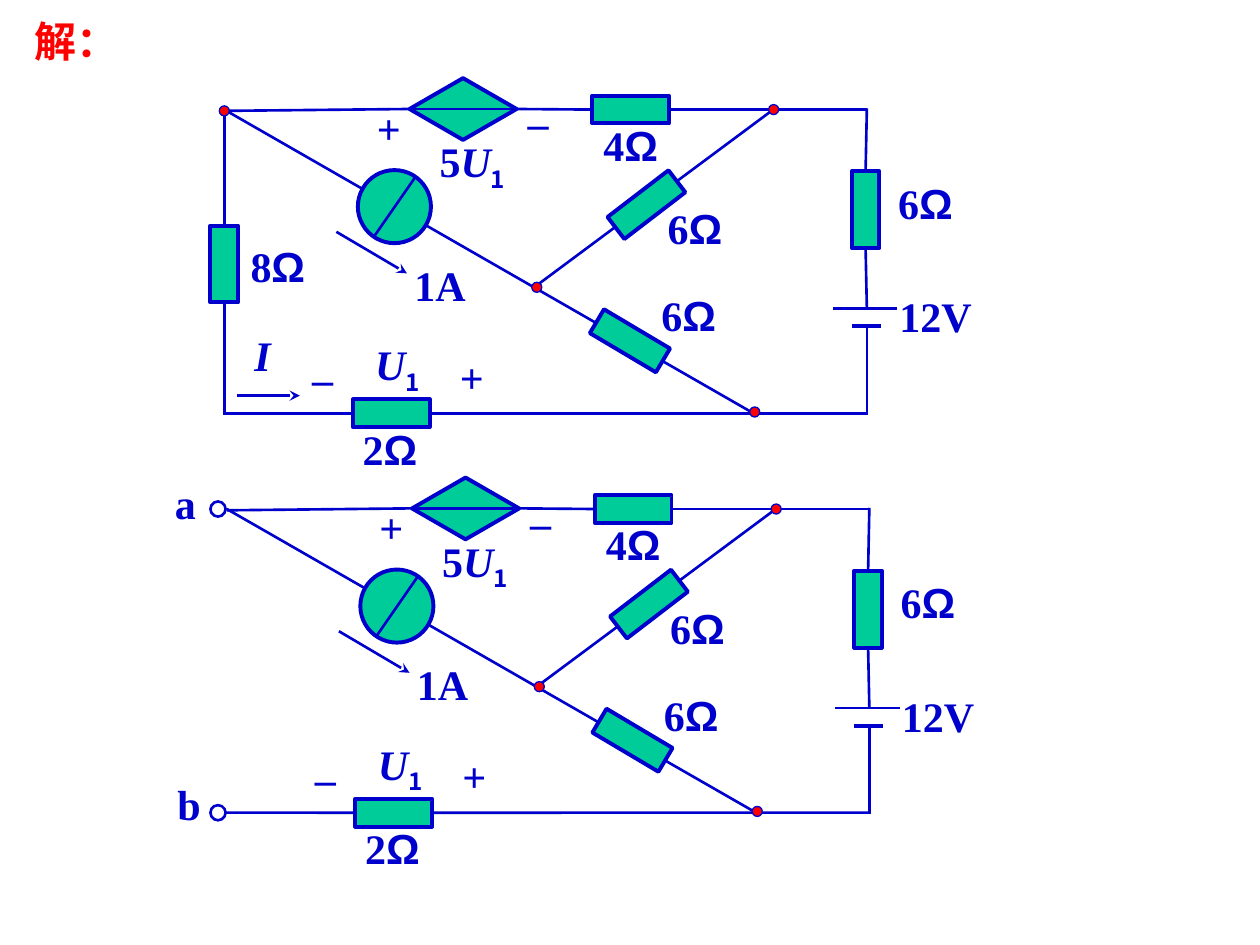
from dataclasses import dataclass

from lxml.etree import SubElement
from pptx import Presentation
from pptx.dml.color import RGBColor
from pptx.enum.shapes import MSO_CONNECTOR, MSO_SHAPE
from pptx.enum.text import MSO_ANCHOR, MSO_AUTO_SIZE, PP_ALIGN
from pptx.oxml.ns import qn
from pptx.shapes.autoshape import Shape
from pptx.slide import Slide
from pptx.text.text import TextFrame
from pptx.util import Inches, Pt

BLUE = RGBColor(0x00, 0x00, 0xCC)
GREEN = RGBColor(0x00, 0xCC, 0x99)
RED = RGBColor(0xFF, 0x00, 0x00)
SERIF = "Times New Roman"
SANS = "Arial"
CHINESE = "Noto Sans CJK SC"
SHORT_SIDE, LONG_SIDE = 0.22, 0.61
DOT_SIZE = 0.08
TOP, LEFT, BOTTOM, RIGHT = range(4)


@dataclass(frozen=True)
class Run:
    text: str
    font: str = SERIF
    italic: bool = False
    subscript: bool = False


@dataclass(frozen=True)
class Label:
    left: float
    top: float
    width: float
    runs: tuple[Run, ...]
    height: float = 0.5
    centered: bool = False


@dataclass(frozen=True)
class Component:
    name: str
    left: float
    top: float
    width: float = SHORT_SIDE
    height: float = LONG_SIDE
    rotation: float = 0
    preset: MSO_SHAPE = MSO_SHAPE.RECTANGLE
    fill: RGBColor | None = GREEN
    line_width: float = 2.25


@dataclass(frozen=True)
class Joint:
    component: str
    side: int


@dataclass(frozen=True)
class Wire:
    start: tuple[float, float] | Joint
    end: tuple[float, float] | Joint
    line_width: float = 1.5
    arrow: bool = False


@dataclass(frozen=True)
class Circuit:
    left: float
    top: float
    back_wires: list[Wire]
    components: list[Component]
    front_wires: list[Wire]
    nodes: list[Component]
    labels: list[Label]


def ohms(left: float, top: float, width: float, value: str) -> Label:
    return Label(left, top, width, (Run(value), Run("Ω", SANS)))


def sign(left: float, top: float, width: float, text: str) -> Label:
    return Label(left, top, width, (Run(text),), centered=True)


def dot(left: float, top: float) -> Component:
    return Component("dot", left, top, DOT_SIZE, DOT_SIZE, preset=MSO_SHAPE.OVAL, fill=RED, line_width=0.75)


def terminal(left: float, top: float) -> Component:
    return Component("terminal", left, top, 0.12, 0.12, preset=MSO_SHAPE.OVAL, fill=None, line_width=1.5)


VOLTAGE = (Run("U", italic=True), Run("1", CHINESE, subscript=True))

BACK_WIRES = [
    Wire((1.78, 0.87), (5.98, 3.28)),
    Wire((6.15, 0.86), (4.24, 2.28)),
]
COMPONENTS = [
    Component("voltage source", 3.25, 0.62, 0.85, 0.49, preset=MSO_SHAPE.DIAMOND),
    Component("current source", 2.84, 1.35, 0.58, 0.58, preset=MSO_SHAPE.OVAL),
    Component("top resistor", 4.7, 0.76, LONG_SIDE, SHORT_SIDE),
    Component("bottom resistor", 2.8, 3.17, LONG_SIDE, SHORT_SIDE),
    Component("right resistor", 6.76, 1.36),
    Component("lower slanted resistor", 4.89, 2.4, rotation=300.7),
    Component("upper slanted resistor", 5.02, 1.32, rotation=52.5),
]
FRONT_WIRES = [
    Wire((1.78, 0.88), Joint("voltage source", LEFT)),
    Wire(Joint("voltage source", LEFT), Joint("voltage source", RIGHT)),
    Wire(Joint("voltage source", RIGHT), Joint("top resistor", LEFT)),
    Wire(Joint("top resistor", RIGHT), (6.88, 0.87)),
    Wire((6.88, 0.86), Joint("right resistor", TOP)),
    Wire(Joint("right resistor", BOTTOM), (6.88, 2.45)),
    Wire((6.61, 2.45), (7.12, 2.45)),
    Wire((6.76, 2.59), (6.99, 2.59), line_width=2.25),
    Wire((6.88, 2.59), (6.88, 3.29)),
    Wire((1.77, 3.28), Joint("bottom resistor", LEFT)),
    Wire(Joint("bottom resistor", RIGHT), (6.88, 3.28)),
    Wire((3.3, 1.4), (2.96, 1.89)),
    Wire((2.67, 1.84), (3.23, 2.17), arrow=True),
]
NODES = [dot(5.95, 3.23), dot(6.1, 0.83), dot(4.22, 2.24)]
LABELS = [
    ohms(2.78, 3.31, 0.71, "2"),
    ohms(4.69, 0.9, 0.77, "4"),
    ohms(5.2, 1.56, 0.73, "6"),
    ohms(5.15, 2.25, 0.78, "6"),
    ohms(7.03, 1.36, 0.83, "6"),
    Label(3.39, 1.03, 0.78, (Run("5"), *VOLTAGE), height=0.56),
    Label(2.88, 2.64, 0.6, VOLTAGE, height=0.56),
    Label(3.19, 2.01, 0.62, (Run("1A"),)),
    Label(7.04, 2.26, 0.91, (Run("12V"),)),
    sign(2.89, 0.76, 0.39, "+"),
    sign(4.09, 0.72, 0.36, "–"),
    sign(3.55, 2.74, 0.39, "+"),
    sign(2.38, 2.75, 0.36, "–"),
]
CLOSED_CIRCUIT = Circuit(
    0, 0,
    BACK_WIRES + [Wire((1.78, 0.86), (1.78, 3.28))],
    COMPONENTS + [Component("left resistor", 1.67, 1.79)],
    FRONT_WIRES + [Wire((1.88, 3.14), (2.38, 3.14), arrow=True)],
    NODES + [dot(1.74, 0.84)],
    LABELS + [ohms(1.89, 1.86, 0.77, "8"), Label(1.92, 2.57, 0.34, (Run("I", italic=True),))],
)
OPEN_CIRCUIT = Circuit(
    0.02, 3.17,
    BACK_WIRES,
    COMPONENTS,
    FRONT_WIRES,
    NODES + [terminal(1.65, 0.81), terminal(1.65, 3.22)],
    LABELS + [sign(1.27, 0.57, 0.36, "a"), sign(1.29, 2.96, 0.38, "b")],
)


def add_run(text_frame: TextFrame, content: Run, color: RGBColor) -> None:
    run = text_frame.paragraphs[0].add_run()
    run.text = content.text
    run.font.name, run.font.size = content.font, Pt(24)
    run.font.bold, run.font.italic = True, content.italic
    run.font.color.rgb = color
    properties = run._r.get_or_add_rPr()
    SubElement(properties, qn("a:ea")).set("typeface", CHINESE)
    if content.subscript:
        properties.set("baseline", "-25000")


def draw_label(slide: Slide, label: Label, left: float, top: float) -> None:
    box = slide.shapes.add_textbox(
        Inches(left + label.left), Inches(top + label.top), Inches(label.width), Inches(label.height))
    text_frame = box.text_frame
    text_frame.word_wrap = not label.centered
    text_frame.auto_size = MSO_AUTO_SIZE.SHAPE_TO_FIT_TEXT
    if label.centered:
        text_frame.vertical_anchor = MSO_ANCHOR.MIDDLE
        text_frame.paragraphs[0].alignment = PP_ALIGN.CENTER
    for content in label.runs:
        add_run(text_frame, content, BLUE)


def draw_component(slide: Slide, component: Component, left: float, top: float) -> Shape:
    shape = slide.shapes.add_shape(
        component.preset, Inches(left + component.left), Inches(top + component.top),
        Inches(component.width), Inches(component.height))
    shape.shadow.inherit = False
    shape.rotation = component.rotation
    if component.fill is None:
        shape.fill.background()
    else:
        shape.fill.solid()
        shape.fill.fore_color.rgb = component.fill
    shape.line.color.rgb, shape.line.width = BLUE, Pt(component.line_width)
    return shape


def draw_wire(slide: Slide, wire: Wire, shapes: dict[str, Shape], left: float, top: float) -> None:
    points = [(0, 0) if isinstance(end, Joint) else (Inches(left + end[0]), Inches(top + end[1]))
              for end in (wire.start, wire.end)]
    connector = slide.shapes.add_connector(MSO_CONNECTOR.STRAIGHT, *points[0], *points[1])
    for end, connect in ((wire.start, connector.begin_connect), (wire.end, connector.end_connect)):
        if isinstance(end, Joint):
            connect(shapes[end.component], end.side)
    connector.line.color.rgb, connector.line.width = BLUE, Pt(wire.line_width)
    if wire.arrow:
        SubElement(connector.line._get_or_add_ln(), qn("a:tailEnd")).set("type", "stealth")
    SubElement(connector._element.spPr, qn("a:effectLst"))


def draw_circuit(slide: Slide, circuit: Circuit) -> None:
    left, top = circuit.left, circuit.top
    for wire in circuit.back_wires:
        draw_wire(slide, wire, {}, left, top)
    shapes = {component.name: draw_component(slide, component, left, top) for component in circuit.components}
    for wire in circuit.front_wires:
        draw_wire(slide, wire, shapes, left, top)
    for node in circuit.nodes:
        draw_component(slide, node, left, top)
    for label in circuit.labels:
        draw_label(slide, label, left, top)


def draw_title(slide: Slide) -> None:
    title = slide.shapes.title
    title.left, title.top, title.width, title.height = map(Inches, (0.17, 0.07, 4.66, 0.5))
    title.text_frame.vertical_anchor = MSO_ANCHOR.TOP
    title.text_frame.auto_size = MSO_AUTO_SIZE.SHAPE_TO_FIT_TEXT
    title.text_frame.paragraphs[0].alignment = PP_ALIGN.LEFT
    add_run(title.text_frame, Run("解："), RED)


def main() -> None:
    presentation = Presentation()
    presentation.slide_width, presentation.slide_height = Inches(10), Inches(7.5)
    slide = presentation.slides.add_slide(presentation.slide_layouts[5])
    draw_title(slide)
    for circuit in (CLOSED_CIRCUIT, OPEN_CIRCUIT):
        draw_circuit(slide, circuit)
    presentation.save("out.pptx")


if __name__ == "__main__":
    main()
